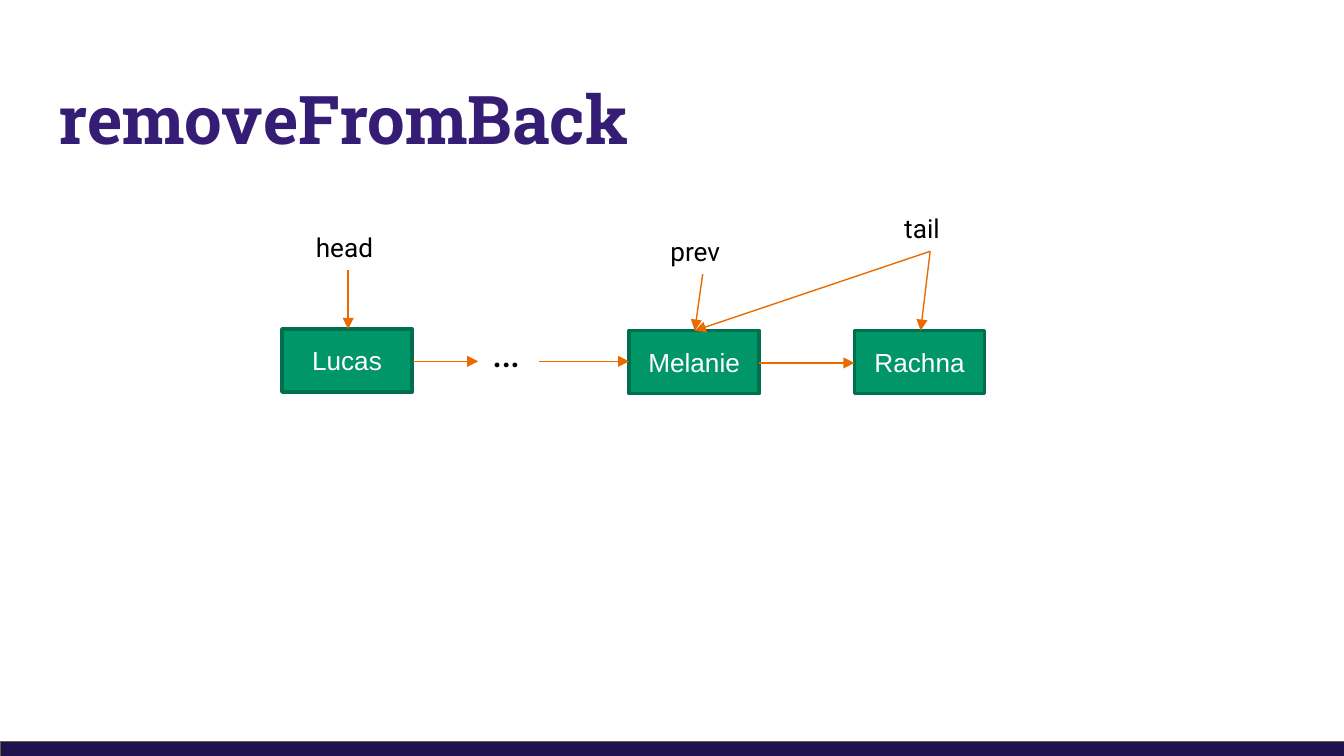
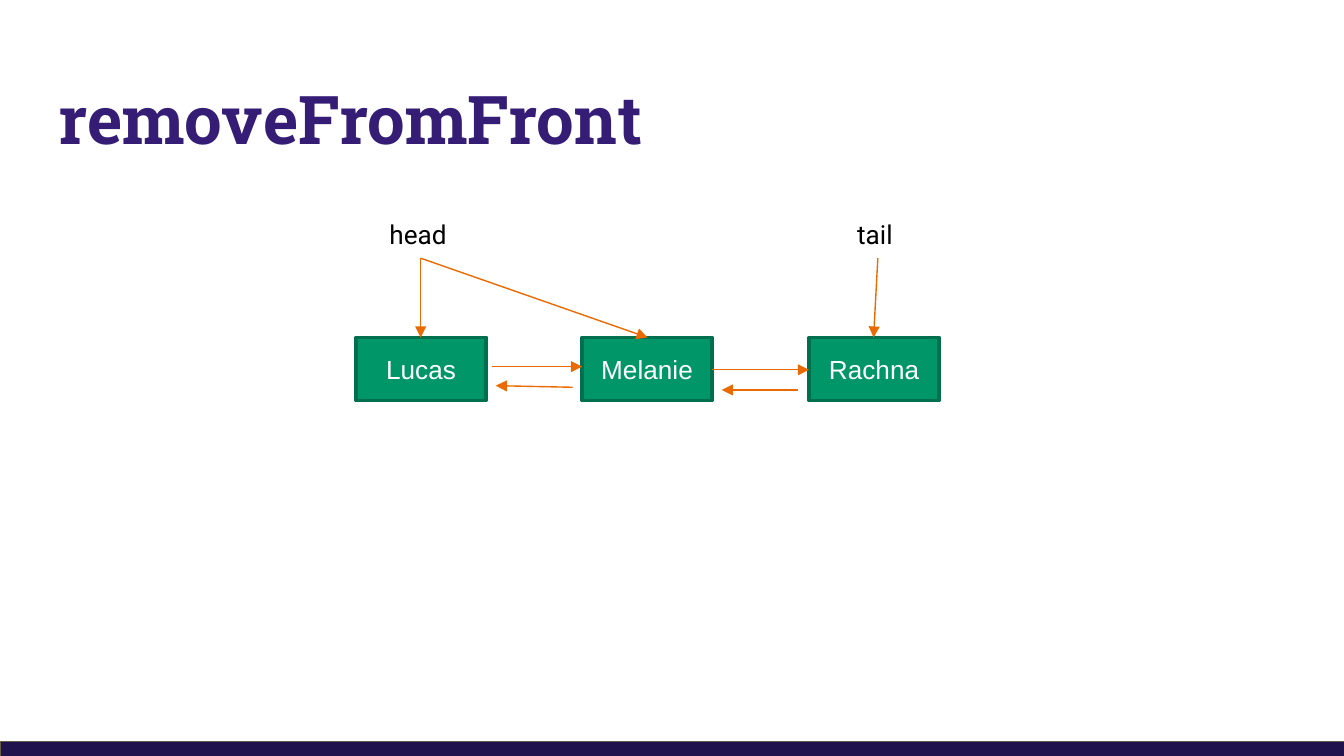
"""Build two slides that show how nodes are removed from a linked list."""

from dataclasses import dataclass

from lxml.etree import SubElement
from pptx import Presentation
from pptx.dml.color import RGBColor as RGB
from pptx.enum.shapes import MSO_CONNECTOR as Connector, MSO_SHAPE as Shape
from pptx.enum.text import MSO_ANCHOR as Anchor, MSO_AUTO_SIZE as AutoSize, PP_ALIGN as Align
from pptx.oxml.ns import qn
from pptx.util import Cm, Pt


@dataclass(frozen=True)
class Theme:
    title: RGB = RGB(0x35, 0x1C, 0x75)
    band: RGB = RGB(0x20, 0x12, 0x4D)
    band_edge: RGB = RGB(0x69, 0x5D, 0x46)
    node: RGB = RGB(0x00, 0x96, 0x68)
    node_edge: RGB = RGB(0x00, 0x6F, 0x4D)
    node_text: RGB = RGB(0xFF, 0xFF, 0xFF)
    arrow: RGB = RGB(0xEA, 0x6A, 0x00)
    label: RGB = RGB(0x00, 0x00, 0x00)
    title_font: str = "Roboto Slab"
    label_font: str = "Roboto"
    node_font: str = "Arial"
    title_size: Pt = Pt(36)
    text_size: Pt = Pt(14)
    dots_size: Pt = Pt(23)
    thin: Pt = Pt(0.75)
    thick: Pt = Pt(2)


theme = Theme()
NODE_WIDTH, NODE_HEIGHT = 2.46, 1.19

slides = [
    {
        "title": "removeFromBack",
        "nodes": [("Lucas", 5.33, 6.22), ("Melanie", 11.89, 6.25), ("Rachna", 16.15, 6.25)],
        "labels": [
            ("head", 5.72, 4.24, 1.7, 0.86, theme.text_size),
            ("tail", 16.84, 3.89, 1.47, 0.86, theme.text_size),
            ("…", 9.04, 6.02, 0.71, 1.24, theme.dots_size),
            ("prev", 12.42, 4.32, 1.73, 0.86, theme.text_size),
        ],
        "arrows": [
            (7.8, 6.83, 9.04, 6.83),
            (10.19, 6.83, 11.89, 6.83),
            (14.35, 6.86, 16.15, 6.86),
            (6.58, 5.11, 6.58, 6.22),
            (13.28, 5.18, 13.13, 6.25),
            (17.58, 4.75, 17.4, 6.25),
            (17.58, 4.75, 13.13, 6.25),
        ],
    },
    {
        "title": "removeFromFront",
        "nodes": [("Lucas", 6.73, 6.38), ("Melanie", 11, 6.38), ("Rachna", 15.29, 6.38)],
        "labels": [
            ("head", 7.11, 4.01, 1.7, 0.86, theme.text_size),
            ("tail", 15.95, 4.01, 1.27, 0.86, theme.text_size),
        ],
        "arrows": [
            (9.3, 6.93, 11, 6.93),
            (13.46, 6.99, 15.29, 6.99),
            (10.82, 7.32, 9.37, 7.29),
            (15.09, 7.37, 13.64, 7.37),
            (7.95, 4.88, 7.95, 6.38),
            (7.95, 4.88, 12.24, 6.38),
            (16.59, 4.88, 16.51, 6.38),
        ],
    },
]


def add_rectangle(page, left, top, width, height, fill, edge, edge_width):
    box = page.shapes.add_shape(Shape.RECTANGLE, Cm(left), Cm(top), Cm(width), Cm(height))
    box.shadow.inherit = False
    box.fill.solid()
    box.fill.fore_color.rgb = fill
    box.line.color.rgb = edge
    box.line.width = edge_width
    return box


def write_text(box, text, font_name, size, color, align, anchor):
    frame = box.text_frame
    frame.word_wrap = True
    frame.auto_size = AutoSize.NONE
    frame.vertical_anchor = anchor
    frame.text = text
    para = frame.paragraphs[0]
    para.alignment = align
    para.font.name = font_name
    para.font.size = size
    para.font.color.rgb = color
    return para


deck = Presentation()
deck.slide_width, deck.slide_height = Cm(25.4), Cm(14.29)
title_only = deck.slide_layouts[5]

for content in slides:
    page = deck.slides.add_slide(title_only)

    title = page.shapes.title
    title.left, title.top, title.width, title.height = Cm(0.86), Cm(1.24), Cm(23.67), Cm(1.96)
    para = write_text(title, content["title"], theme.title_font, theme.title_size,
                      theme.title, Align.LEFT, Anchor.MIDDLE)
    para.font.bold = True
    frame = title.text_frame
    frame.margin_left = frame.margin_right = frame.margin_top = frame.margin_bottom = Cm(0.25)

    add_rectangle(page, 0, 14.02, 25.7, 0.56, theme.band, theme.band_edge, theme.thin)

    for name, left, top in content["nodes"]:
        node = add_rectangle(page, left, top, NODE_WIDTH, NODE_HEIGHT,
                             theme.node, theme.node_edge, theme.thick)
        write_text(node, name, theme.node_font, theme.text_size,
                   theme.node_text, Align.CENTER, Anchor.MIDDLE)

    for text, left, top, width, height, size in content["labels"]:
        label = page.shapes.add_textbox(Cm(left), Cm(top), Cm(width), Cm(height))
        write_text(label, text, theme.label_font, size, theme.label, Align.LEFT, Anchor.TOP)

    for ends in content["arrows"]:
        arrow = page.shapes.add_connector(Connector.STRAIGHT, *map(Cm, ends))
        arrow.line.color.rgb = theme.arrow
        arrow.line.width = theme.thin
        properties = arrow.element.spPr
        SubElement(properties.find(qn("a:ln")), qn("a:tailEnd"), type="triangle")
        SubElement(properties, qn("a:effectLst"))

deck.save("out.pptx")
